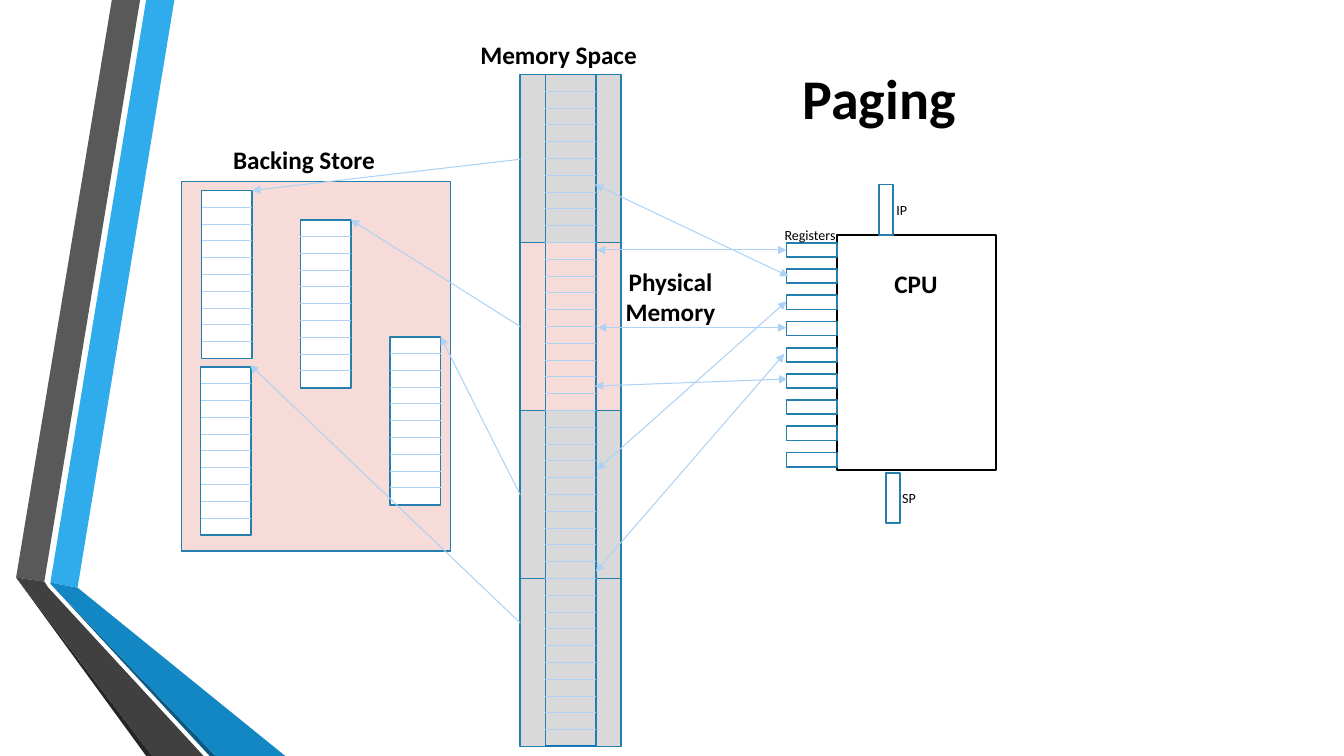
from lxml.etree import SubElement
from pptx import Presentation
from pptx.dml.color import RGBColor
from pptx.enum.shapes import MSO_CONNECTOR as CONN, MSO_SHAPE as SHAPE
from pptx.enum.text import MSO_ANCHOR as ANCHOR, PP_ALIGN as ALIGN
from pptx.oxml.ns import qn
from pptx.util import Inches, Pt

COLORS = {
    "text": "000000", "page": "FFFFFF", "outline": "247FAF",
    "rung": "AED2F4", "last_rung": "0070C0",
    "virtual": "D9D9D9", "physical": "F7DBD8",
    "blue": "30ACEC", "blue_mid": "1287C3", "blue_dark": "0C5A82",
    "gray": "595959", "gray_mid": "404040", "gray_dark": "262626",
}

# Ribbon outlines at the left edge: colour and corner points
RIBBONS = [
    ("blue", [(0.5, 5.78), (0.77, 5.83), (1.73, 0), (1.45, 0)]),
    ("gray", [(1.39, 0), (1.11, 0), (0.16, 5.73), (0.44, 5.77)]),
    ("gray_dark", [(0.16, 5.73), (1.45, 7.5), (1.51, 7.5)]),
    ("blue_dark", [(0.5, 5.79), (2.08, 7.5), (2.14, 7.5)]),
    ("blue_mid", [(0.5, 5.79), (2.14, 7.5), (2.83, 7.5), (0.77, 5.83), (0.5, 5.78)]),
    ("gray_mid", [(2.02, 7.5), (0.48, 5.83), (0.44, 5.77), (0.16, 5.73), (1.51, 7.5)]),
]

CELL = 1 / 6             # height of one memory cell
CELLS = 10               # cells in a page
PAGE_H = CELL * CELLS
PAGE_W = 0.5
MEMORY_TOP = 0.74

# Backing store pages, and the arrows that lead to them
PAGES = [(3.87, 3.34), (2, 1.89), (2.98, 2.18), (1.99, 3.64)]
PAGE_ARROWS = [
    ((5.16, 1.58), (2.5, 1.89)),
    ((5.16, 3.24), (3.48, 2.18)),
    ((5.16, 4.91), (4.37, 3.34)),
    ((5.16, 6.18), (2.48, 3.62)),
]
REGISTER_ARROWS = [
    ((7.8, 2.48), (5.92, 2.48)),
    ((7.82, 2.74), (5.9, 1.83)),
    ((7.8, 2.99), (5.92, 4.66)),
    ((7.8, 3.25), (5.93, 3.25)),
    ((7.81, 3.76), (5.9, 3.83)),
    ((7.78, 3.51), (5.91, 5.67)),
]


def rgb(name):
    return RGBColor.from_string(COLORS[name])


def write(tf, text, size=18, bold=True, color="text"):
    tf.word_wrap = True
    p = tf.paragraphs[0]
    p.alignment = ALIGN.CENTER
    r = p.add_run()
    r.text = text
    r.font.name = "Calibri"
    r.font.size = Pt(size)
    r.font.bold = bold
    r.font.color.rgb = rgb(color)


def label(s, text, x, y, w, h, **fmt):
    write(s.shapes.add_textbox(*map(Inches, (x, y, w, h))).text_frame, text, **fmt)


def box(s, x, y, w, h, fill=None, line="outline"):
    sp = s.shapes.add_shape(SHAPE.RECTANGLE, *map(Inches, (x, y, w, h)))
    sp.shadow.inherit = False
    if fill:
        sp.fill.solid()
        sp.fill.fore_color.rgb = rgb(fill)
    else:
        sp.fill.background()
    sp.line.color.rgb = rgb(line)
    sp.line.width = Pt(1.25)


def link(s, start, end, color="rung", ends=()):
    cn = s.shapes.add_connector(CONN.STRAIGHT, *map(Inches, (*start, *end)))
    cn.line.color.rgb = rgb(color)
    cn.line.width = Pt(0.75)
    sp_pr = cn.line._get_or_add_ln().getparent()
    for end_tag in ends:
        SubElement(sp_pr.find(qn("a:ln")), qn(end_tag), type="triangle")
    SubElement(sp_pr, qn("a:effectLst"))


def rungs(s, x, top, count):
    for i in range(1, count + 1):
        y = top + i * CELL
        link(s, (x, y), (x + PAGE_W, y))


def ribbon(s, color, points):
    corners = [(Inches(x), Inches(y)) for x, y in points]
    fb = s.shapes.build_freeform(*corners[0])
    fb.add_line_segments(corners[1:], close=True)
    sp = fb.convert_to_shape()
    sp.shadow.inherit = False
    sp.fill.solid()
    sp.fill.fore_color.rgb = rgb(color)
    sp.line.fill.background()


def title(s, text):
    sp = s.shapes.title
    sp.left, sp.top, sp.width, sp.height = map(Inches, (4.73, 0, 7.98, 1.92))
    sp.text_frame.vertical_anchor = ANCHOR.MIDDLE
    write(sp.text_frame, text, size=40)


def memory(s):
    for i, fill in enumerate(["virtual", "physical", "virtual", "virtual"]):
        box(s, 5.16, MEMORY_TOP + i * PAGE_H, 1, PAGE_H, fill)
    box(s, 5.41, MEMORY_TOP, PAGE_W, 4 * PAGE_H)
    rungs(s, 5.41, MEMORY_TOP, 4 * CELLS - 1)
    link(s, (5.41, 7.4), (5.91, 7.4), "last_rung")
    label(s, "Memory Space", 4.57, 0.34, 1.94, 0.4)
    label(s, "Physical Memory", 5.68, 2.59, 1.94, 0.71)


def backing_store(s):
    box(s, 1.8, 1.8, 2.67, 3.67, "physical")
    for x, y in PAGES:
        box(s, x, y, PAGE_W, PAGE_H, "page")
        rungs(s, x, y, CELLS - 1)
    label(s, "Backing Store", 2.08, 1.38, 1.87, 0.4)


def cpu(s):
    box(s, 8.3, 2.33, 1.58, 2.33, line="text")
    for i in range(9):
        box(s, 7.8, 2.41 + i * 0.26, 0.5, 0.14)
    box(s, 8.79, 4.69, 0.14, 0.5)
    box(s, 8.72, 1.83, 0.14, 0.5)
    label(s, "CPU", 8.42, 2.61, 1.33, 0.4)
    for text, x, y in [("Registers", 7.37, 2.2), ("IP", 8.28, 1.95), ("SP", 8.35, 4.81)]:
        label(s, text, x, y, 1.33, 0.27, size=10, bold=False)


def main():
    prs = Presentation()
    prs.slide_width, prs.slide_height = Inches(13.33), Inches(7.5)
    s = prs.slides.add_slide(prs.slide_layouts[5])

    # Background ribbons and title
    for color, points in RIBBONS:
        ribbon(s, color, points)
    title(s, "Paging")

    # The three parts of the diagram
    memory(s)
    backing_store(s)
    cpu(s)

    # Arrows between the parts
    for start, end in REGISTER_ARROWS:
        link(s, start, end, ends=("a:headEnd", "a:tailEnd"))
    for start, end in PAGE_ARROWS:
        link(s, start, end, ends=("a:tailEnd",))

    prs.save("out.pptx")


if __name__ == "__main__":
    main()
